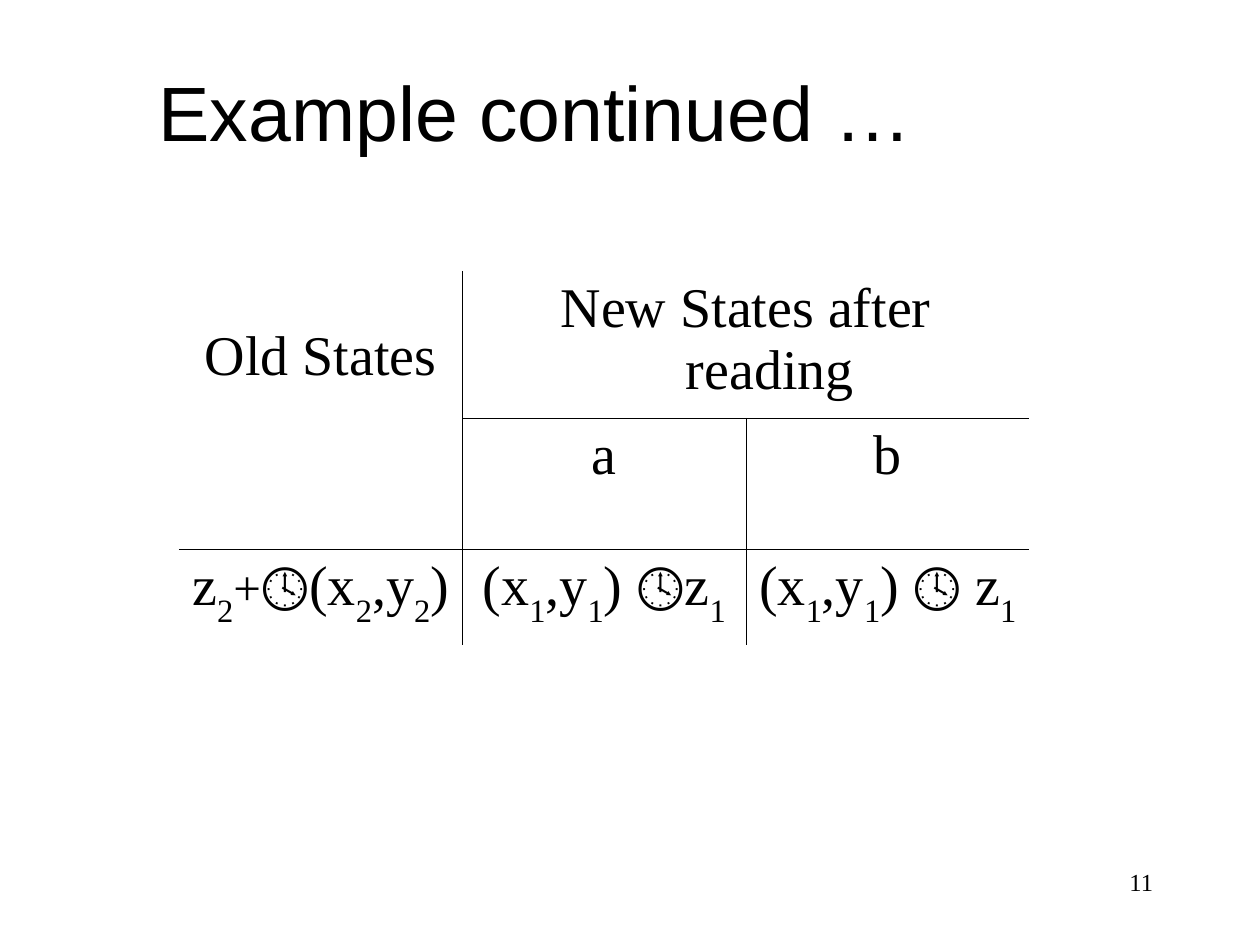
import pptx
import pptx.util
import pptx.dml.color
import pptx.enum.text
import pptx.oxml
import pptx.oxml.ns
from lxml import etree

Inches, Pt = pptx.util.Inches, pptx.util.Pt
ALIGN = pptx.enum.text.PP_ALIGN
BLACK = pptx.dml.color.RGBColor(0, 0, 0)
SERIF = "Times New Roman"

BODY, PLUS, SUB = (32, 0), (28, 0), (32, -30000)
TITLE = "Example continued …"
PAGE = "11"


def pair(join):
    return [("(x", BODY), ("1", SUB), (",y", BODY), ("1", SUB),
            (join, BODY), ("1", SUB)]


CELLS = {
    (0, 0): [("Old States", BODY)],
    (0, 1): [("New States after reading", BODY)],
    (1, 1): [("a", BODY)],
    (1, 2): [("b", BODY)],
    (2, 0): [("z", BODY), ("2", SUB), ("+", PLUS), ("🕓(x", BODY),
             ("2", SUB), (",y", BODY), ("2", SUB), (")", BODY)],
    (2, 1): pair(") 🕓z"),
    (2, 2): pair(") 🕓 z"),
}
MERGES = [((0, 0), (1, 0)), ((0, 1), (0, 2))]
COL_WIDTH = 2.25
ROW_HEIGHTS = [1.17, 1.04, 0.76]
VERTICAL_RULES = {(0, 1), (1, 1), (2, 1), (1, 2), (2, 2)}
HORIZONTAL_RULES = {(1, 1), (1, 2), (2, 0), (2, 1), (2, 2)}


def set_border(cell, side, ruled):
    tc_pr = cell._tc.get_or_add_tcPr()
    ln = etree.SubElement(tc_pr, pptx.oxml.ns.qn("a:ln" + side), w=str(Pt(0.45)))
    if ruled:
        fill = etree.SubElement(ln, pptx.oxml.ns.qn("a:solidFill"))
        etree.SubElement(fill, pptx.oxml.ns.qn("a:srgbClr"), val=str(BLACK))
    else:
        etree.SubElement(ln, pptx.oxml.ns.qn("a:noFill"))


def style(p, font, size, align):
    p.alignment = align
    p.font.name, p.font.size, p.font.color.rgb = font, Pt(size), BLACK


def fill_cell(cell, runs):
    p = cell.text_frame.paragraphs[0]
    style(p, SERIF, 32, ALIGN.CENTER)
    p_pr = p._p.get_or_add_pPr()
    p_pr.set("marL", str(Inches(0.38)))
    p_pr.set("indent", str(-Inches(0.38)))
    for text, (size, baseline) in runs:
        r = p.add_run()
        r.text = text
        r.font.size = Pt(size)
        r.font.name = SERIF
        r.font.color.rgb = BLACK
        if baseline:
            r.font._element.set("baseline", str(baseline))


prs = pptx.Presentation()
prs.slide_width, prs.slide_height = Inches(10), Inches(7.5)
s = prs.slides.add_slide(prs.slide_layouts[5])

title = s.shapes.title
title.left, title.top = Inches(0), Inches(0.25)
title.width, title.height = Inches(8.5), Inches(1.25)
title.text_frame.text = TITLE
title.text_frame.vertical_anchor = pptx.enum.text.MSO_ANCHOR.MIDDLE
style(title.text_frame.paragraphs[0], "Arial", 44, ALIGN.CENTER)

table = s.shapes.add_table(
    3, 3, Inches(1.42), Inches(2.15),
    Inches(3 * COL_WIDTH), Inches(sum(ROW_HEIGHTS))).table
table.first_row = table.horz_banding = False
for col in table.columns:
    col.width = Inches(COL_WIDTH)
for row, height in zip(table.rows, ROW_HEIGHTS):
    row.height = Inches(height)
for start, end in MERGES:
    table.cell(*start).merge(table.cell(*end))
for i in range(3):
    for j in range(3):
        cell = table.cell(i, j)
        set_border(cell, "L", (i, j) in VERTICAL_RULES)
        set_border(cell, "R", (i, j + 1) in VERTICAL_RULES)
        set_border(cell, "T", (i, j) in HORIZONTAL_RULES)
        set_border(cell, "B", (i + 1, j) in HORIZONTAL_RULES)
        cell.fill.background()
        if (i, j) in CELLS:
            fill_cell(cell, CELLS[i, j])
table.cell(0, 0).margin_top = Inches(0.43)

number = s.shapes.add_textbox(Inches(7.17), Inches(6.83), Inches(2.08), Inches(0.5))
tf = number.text_frame
tf.word_wrap = True
tf.text = PAGE
style(tf.paragraphs[0], SERIF, 14, ALIGN.RIGHT)

prs.save("out.pptx")
